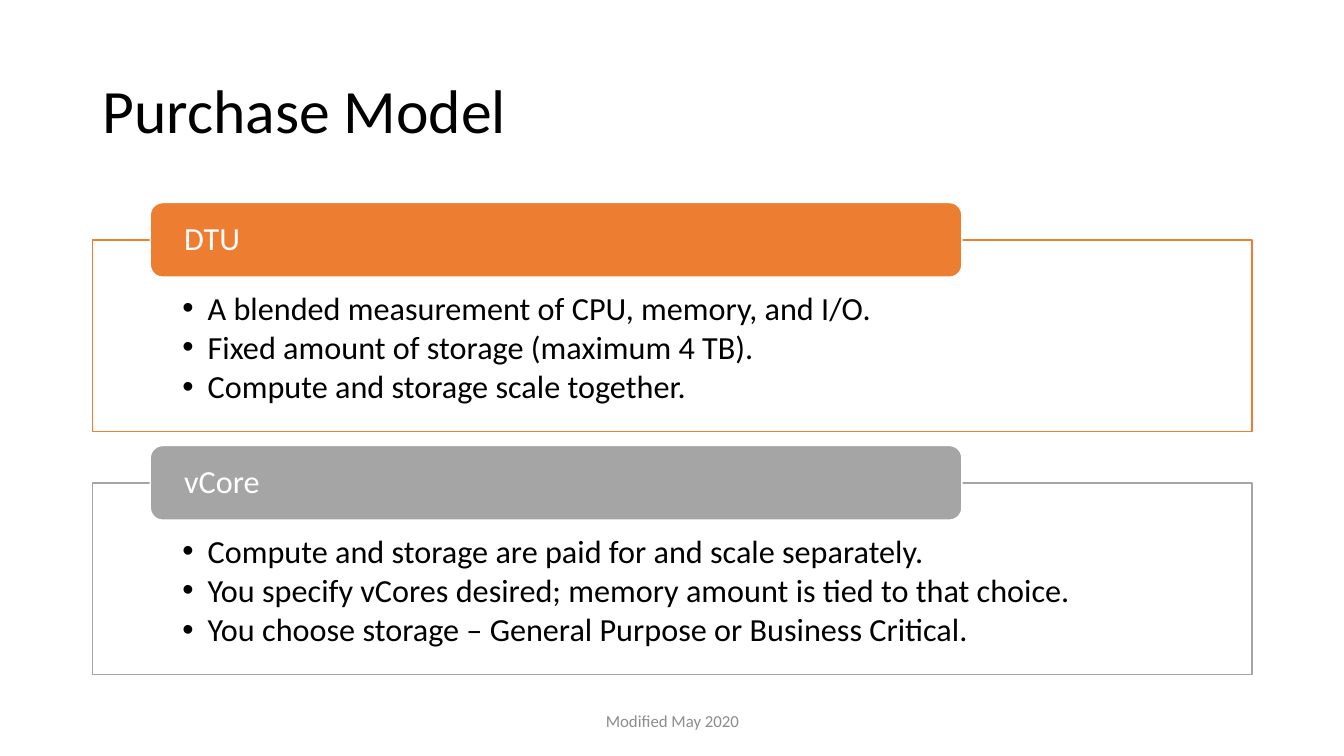
from lxml.etree import SubElement as Sub
from pptx import Presentation
from pptx.dml.color import RGBColor as RGB
from pptx.enum.shapes import MSO_SHAPE as Form
from pptx.enum.text import MSO_ANCHOR as Anchor, PP_ALIGN as Align
from pptx.oxml.ns import qn
from pptx.util import Inches, Pt

HUES = {"ink": "000000", "paper": "FFFFFF", "warm": "ED7D31", "gray": "A5A5A5", "note": "8C8C8C"}
MODELS = [
    ("DTU", "warm", [
        "A blended measurement of CPU, memory, and I/O.",
        "Fixed amount of storage (maximum 4 TB).",
        "Compute and storage scale together.",
    ]),
    ("vCore", "gray", [
        "Compute and storage are paid for and scale separately.",
        "You specify vCores desired; memory amount is tied to that choice.",
        "You choose storage – General Purpose or Business Critical.",
    ]),
]


class Deck:
    """Holds the text style and the current slide."""

    def __init__(self, show, font):
        self.font = font
        self.slide = show.slides.add_slide(show.slide_layouts[6])

    def hue(self, name):
        return RGB.from_string(HUES[name])

    def text(self, shape, lines, size, hue, pads, anchor=Anchor.MIDDLE,
             align=Align.LEFT, pitch=0.9, after=0, dots=False):
        frame = shape.text_frame
        frame.word_wrap = True
        frame.vertical_anchor = anchor
        sides = [Inches(pad) for pad in pads]
        frame.margin_left, frame.margin_top, frame.margin_right, frame.margin_bottom = sides
        for i, line in enumerate(lines):
            para = frame.add_paragraph() if i else frame.paragraphs[0]
            para.alignment = align
            para.line_spacing = pitch
            para.space_after = Pt(after)
            if dots:
                self.dot(para)
            run = para.add_run()
            run.text = line
            run.font.name = self.font
            run.font.size = Pt(size)
            run.font.color.rgb = self.hue(hue)

    def dot(self, para):
        props = para._p.get_or_add_pPr()
        props.set("marL", str(Inches(0.25)))
        props.set("indent", str(Inches(-0.25)))
        Sub(props, qn("a:buFont"), typeface="Arial")
        Sub(props, qn("a:buChar"), char="•")

    def label(self, box, line, size, hue, **look):
        shape = self.slide.shapes.add_textbox(*map(Inches, box))
        self.text(shape, [line], size, hue, (0.1, 0.05, 0.1, 0.05), **look)

    def block(self, form, box, fill, edge, alpha=100):
        shape = self.slide.shapes.add_shape(form, *map(Inches, box))
        shape.shadow.inherit = False
        shape.fill.solid()
        shape.fill.fore_color.rgb = self.hue(fill)
        if alpha < 100:
            tint = shape._element.spPr.find(qn("a:solidFill"))[0]
            Sub(tint, qn("a:alpha"), val=str(alpha * 1000))
        shape.line.color.rgb = self.hue(edge)
        shape.line.width = Pt(1)
        return shape

    def panel(self, top, name, hue, points):
        body = self.block(Form.RECTANGLE, (0.92, top, 11.5, 1.9), "paper", hue, alpha=90)
        self.text(body, points, 23, "ink", (0.89, 0.52, 0.89, 0.18),
                  anchor=Anchor.TOP, after=3.1, dots=True)
        tab = self.block(Form.ROUNDED_RECTANGLE, (1.49, top - 0.37, 8.05, 0.74), hue, "paper")
        self.text(tab, [name], 23, "paper", (0.3, 0, 0.3, 0))


def main():
    show = Presentation()
    show.slide_width, show.slide_height = Inches(13.33), Inches(7.5)
    deck = Deck(show, "Calibri")
    deck.label((0.92, 0.4, 11.5, 1.45), "Purchase Model", 44, "ink")
    for i, model in enumerate(MODELS):
        deck.panel(2.38 + 2.41 * i, *model)
    deck.label((4.42, 6.95, 4.5, 0.4), "Modified May 2020", 12, "note", align=Align.CENTER, pitch=1.0)
    show.save("out.pptx")


if __name__ == "__main__":
    main()
